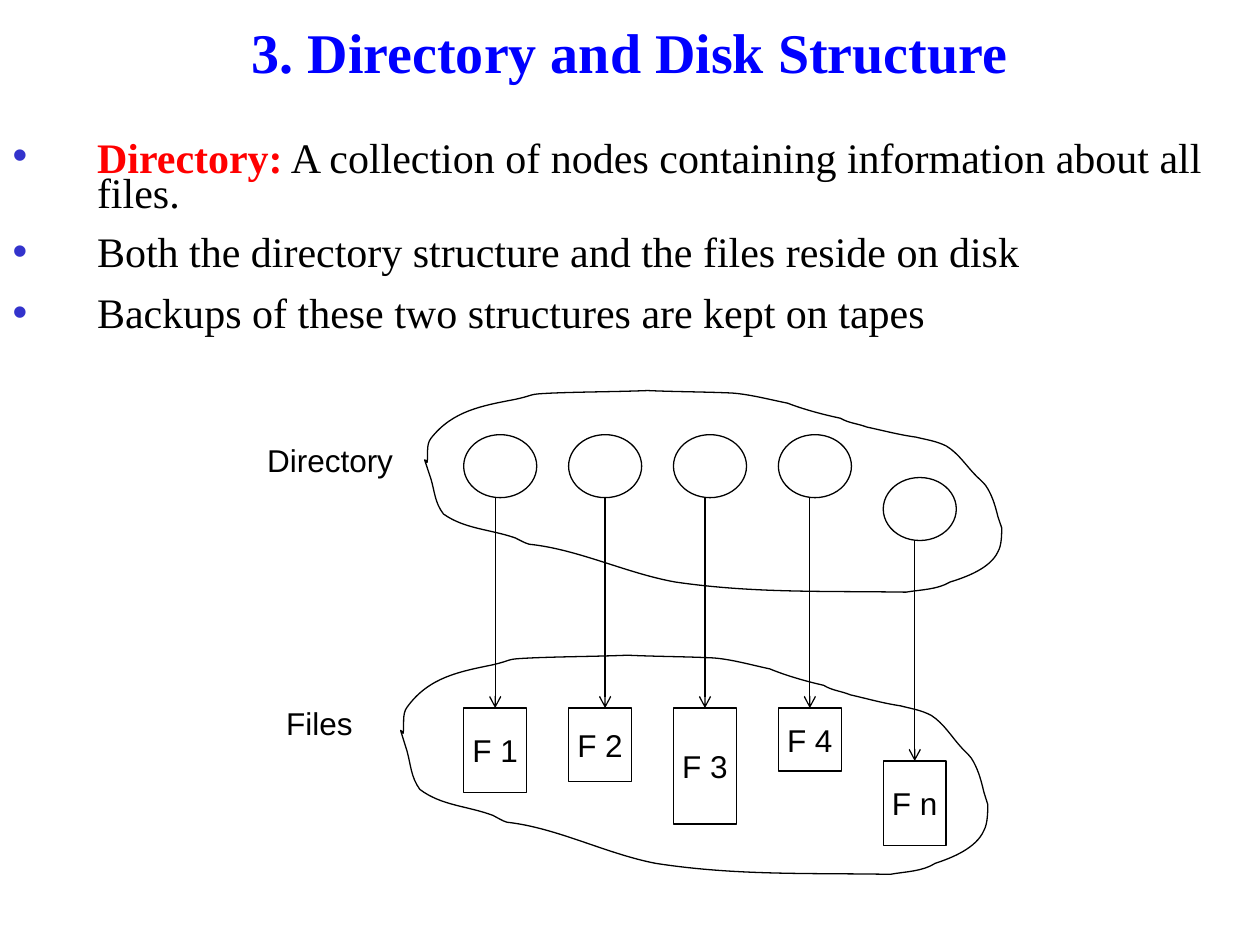
import pptx
import pptx.util
import pptx.dml.color
import pptx.enum.shapes
import pptx.enum.text
import pptx.oxml
import pptx.oxml.ns
from lxml import etree

RGB = pptx.dml.color.RGBColor
BLACK = RGB(0, 0, 0)
WHITE = RGB(255, 255, 255)
BLUE = RGB(0, 0, 255)
RED = RGB(255, 0, 0)
BULLET = RGB(0x33, 0x33, 0xCC)
Inches, Pt = pptx.util.Inches, pptx.util.Pt
TEXT = pptx.enum.text
SHAPE = pptx.enum.shapes.MSO_SHAPE
tag = pptx.oxml.ns.qn

TITLE = "3. Directory and Disk Structure"
# Line spacing, then runs of text with their formats
SERIF = {"name": "Times New Roman", "size": Pt(24), "bold": False}
TERM = {**SERIF, "bold": True}
POINTS = [
    (0.7, [("Directory:", TERM, RED),
           (" A collection of nodes containing information about all files.", SERIF, BLACK)]),
    (1.0, [("Both the directory structure and the files reside on disk", SERIF, BLACK)]),
    (1.0, [("Backups of these two structures are kept on tapes", SERIF, BLACK)]),
]
HEAD = {"name": "Times New Roman", "size": Pt(32), "bold": True}
SANS = {"name": "Arial", "size": Pt(18), "bold": False}

# Name, height of the file, drop of the file, drop of the node, slip of the arrow
FILES = [("F 1", 0.67, 0, 0, 0), ("F 2", 0.58, 0, 0, 0.04), ("F 3", 0.92, 0, 0, 0),
         ("F 4", 0.5, 0, 0, 0), ("F n", 0.67, 0.42, 0.34, 0)]
LEFT, RIGHT = 3.68, 7.01
STEP = (RIGHT - LEFT) / (len(FILES) - 1)
NODE_TOP, NODE_W, NODE_H = 3.45, 0.58, 0.5
FILE_TOP, FILE_W = 5.62, 0.5

LABELS = [("Directory", (2.02, 3.45, 1.2, 0.4)), ("Files", (2.17, 5.54, 0.73, 0.4))]
CLOUDS = [(3.37, 3.1, 4.58, 1.61), (3.18, 5.2, 4.66, 1.75)]
# Cloud outline in hundredths of an inch: a start, then cubic curves
CLOUD_W, CLOUD_H = 458, 161
START = (2, 57)
CURVES = [
    (3, 51, 1, 43, 5, 38), (22, 16, 46, 12, 72, 7), (90, 3, 80, 3, 102, 2),
    (127, 1, 152, 1, 177, 0), (199, 1, 222, 1, 244, 2), (258, 3, 273, 7, 288, 10),
    (301, 15, 316, 19, 330, 22), (337, 26, 343, 26, 351, 29),
    (365, 32, 376, 35, 390, 37), (398, 39, 406, 40, 414, 44),
    (424, 50, 430, 60, 438, 68), (441, 71, 445, 74, 447, 78),
    (451, 85, 453, 92, 455, 100), (456, 103, 458, 109, 458, 109),
    (458, 114, 458, 123, 455, 128), (449, 141, 430, 148, 417, 152),
    (407, 158, 394, 158, 382, 160), (318, 159, 261, 161, 199, 152),
    (160, 145, 122, 126, 83, 122), (81, 121, 79, 121, 78, 120),
    (76, 119, 74, 118, 72, 117), (52, 110, 32, 110, 15, 98),
    (8, 89, 8, 80, 5, 70), (5, 70, 1, 58, 0, 55), (0, 55, 2, 56, 2, 57),
]


def assign(thing, values):
    for name, value in values.items():
        setattr(thing, name, value)


def place(shape, box):
    assign(shape, dict(zip(("left", "top", "width", "height"), map(Inches, box))))


def write(para, text, style, color):
    run = para.add_run()
    run.text = text
    assign(run.font, style)
    run.font.color.rgb = color


def ink(shape):
    shape.line.color.rgb = BLACK
    shape.line.width = Pt(0.75)


def center(shape, text, style, color, wrap=False):
    frame = shape.text_frame
    assign(frame, {"word_wrap": wrap, "auto_size": TEXT.MSO_AUTO_SIZE.NONE,
                   "vertical_anchor": TEXT.MSO_ANCHOR.MIDDLE})
    para = frame.paragraphs[0]
    para.alignment = TEXT.PP_ALIGN.CENTER
    write(para, text, style, color)


def add_bullet(para):
    props = para._p.get_or_add_pPr()
    props.set("marL", str(Inches(0.67)))
    props.set("indent", str(-Inches(0.67)))
    space = pptx.oxml.ns.nsdecls("a")
    for xml in (f'<a:buClr {space}><a:srgbClr val="{BULLET}"/></a:buClr>',
                f'<a:buChar {space} char="•"/>'):
        props.append(pptx.oxml.parse_xml(xml))


def add_box(kind, box):
    shape = slide.shapes.add_shape(kind, *map(Inches, box))
    shape.shadow.inherit = False
    shape.fill.solid()
    shape.fill.fore_color.rgb = WHITE
    ink(shape)
    return shape


def add_arrow(x, top, end):
    line = slide.shapes.add_connector(pptx.enum.shapes.MSO_CONNECTOR.STRAIGHT,
                                      *map(Inches, (x, top, x, end)))
    ink(line)
    etree.SubElement(line.line._get_or_add_ln(), tag("a:tailEnd"), type="arrow")
    etree.SubElement(line._element.spPr, tag("a:effectLst"))
    return line


def bend(shape, curves):
    """Turn each straight segment of a freeform into its cubic curve."""
    for side, curve in zip(list(shape._element.iter(tag("a:lnTo"))), curves):
        arc = etree.Element(tag("a:cubicBezTo"))
        for x, y in zip(curve[::2], curve[1::2]):
            etree.SubElement(arc, tag("a:pt"), x=str(x), y=str(y))
        side.getparent().replace(side, arc)


def add_cloud(box):
    left, top, width, height = map(Inches, box)
    pen = slide.shapes.build_freeform(*START, scale=(width / CLOUD_W, height / CLOUD_H))
    pen.add_line_segments([curve[4:] for curve in CURVES], close=True)
    cloud = pen.convert_to_shape(left, top)
    bend(cloud, CURVES)
    cloud.shadow.inherit = False
    cloud.fill.background()
    ink(cloud)


deck = pptx.Presentation()
assign(deck, {"slide_width": Inches(10), "slide_height": Inches(7.5)})
slide = deck.slides.add_slide(deck.slide_layouts[1])

title, body = slide.placeholders
place(title, (0, 0, 10, 0.88))
center(title, TITLE, HEAD, BLUE, wrap=True)
title.text_frame.paragraphs[0].line_spacing = 0.9

place(body, (0, 1.1, 10, 1.7))
body.text_frame.auto_size = TEXT.MSO_AUTO_SIZE.NONE
for i, (spacing, runs) in enumerate(POINTS):
    para = body.text_frame.add_paragraph() if i else body.text_frame.paragraphs[0]
    assign(para, {"line_spacing": spacing, "space_before": Pt(6 if i else 0)})
    add_bullet(para)
    for run in runs:
        write(para, *run)

for i, (name, height, drop, sink, slip) in enumerate(FILES):
    x = LEFT + i * STEP
    node_top, file_top = NODE_TOP + sink, FILE_TOP + drop
    add_box(SHAPE.OVAL, (x, node_top, NODE_W, NODE_H))
    file = add_box(SHAPE.RECTANGLE, (x, file_top, FILE_W, height))
    center(file, name, SANS, BLACK)
    arrow = add_arrow(x + FILE_W / 2 + slip, node_top + NODE_H, file_top)
    if not slip:
        arrow.end_connect(file, 0)

for box in CLOUDS:
    add_cloud(box)
for text, box in LABELS:
    center(slide.shapes.add_textbox(*map(Inches, box)), text, SANS, BLACK)

deck.save("out.pptx")
